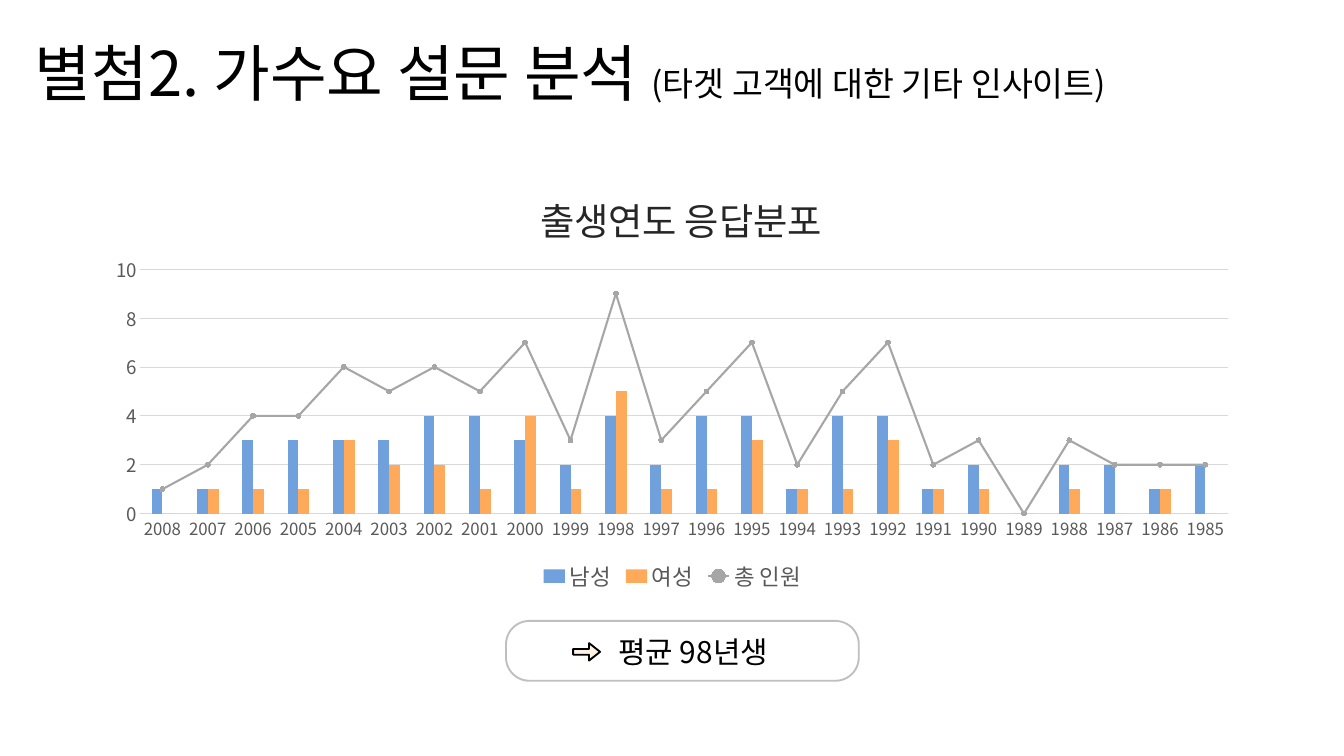
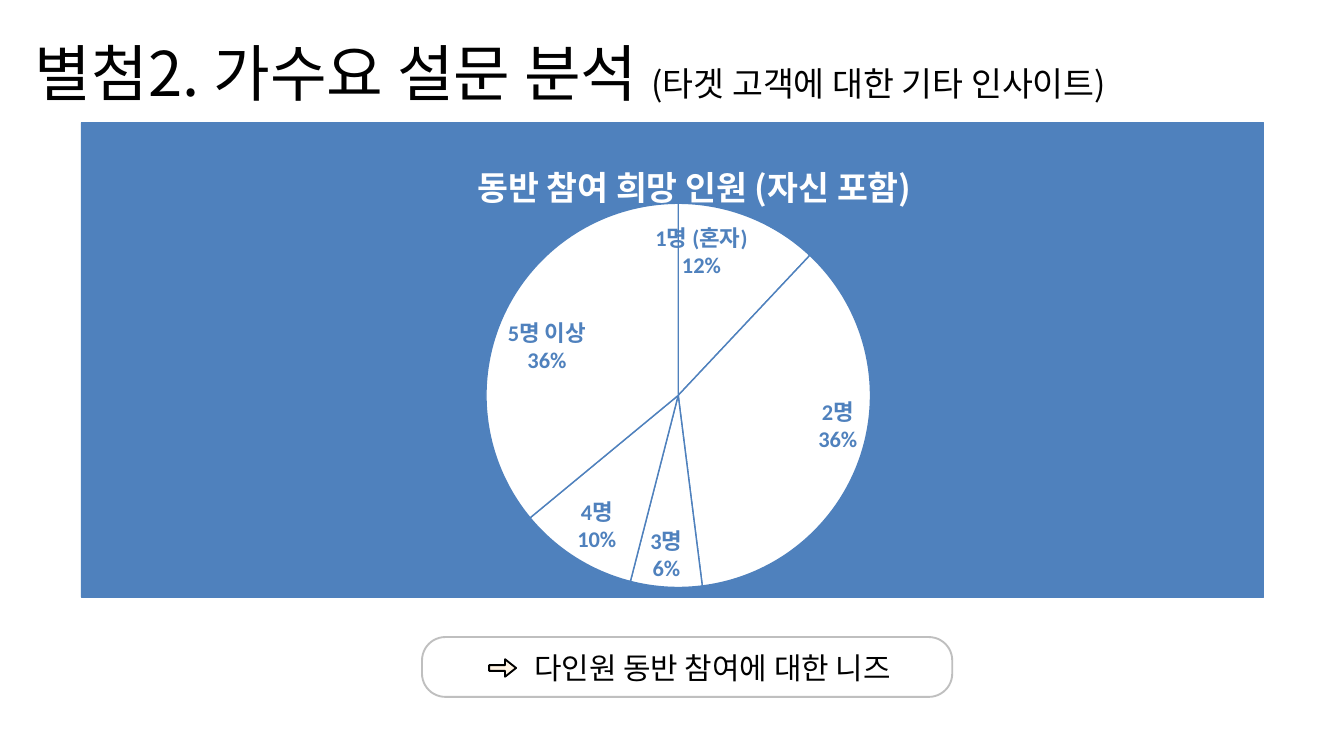
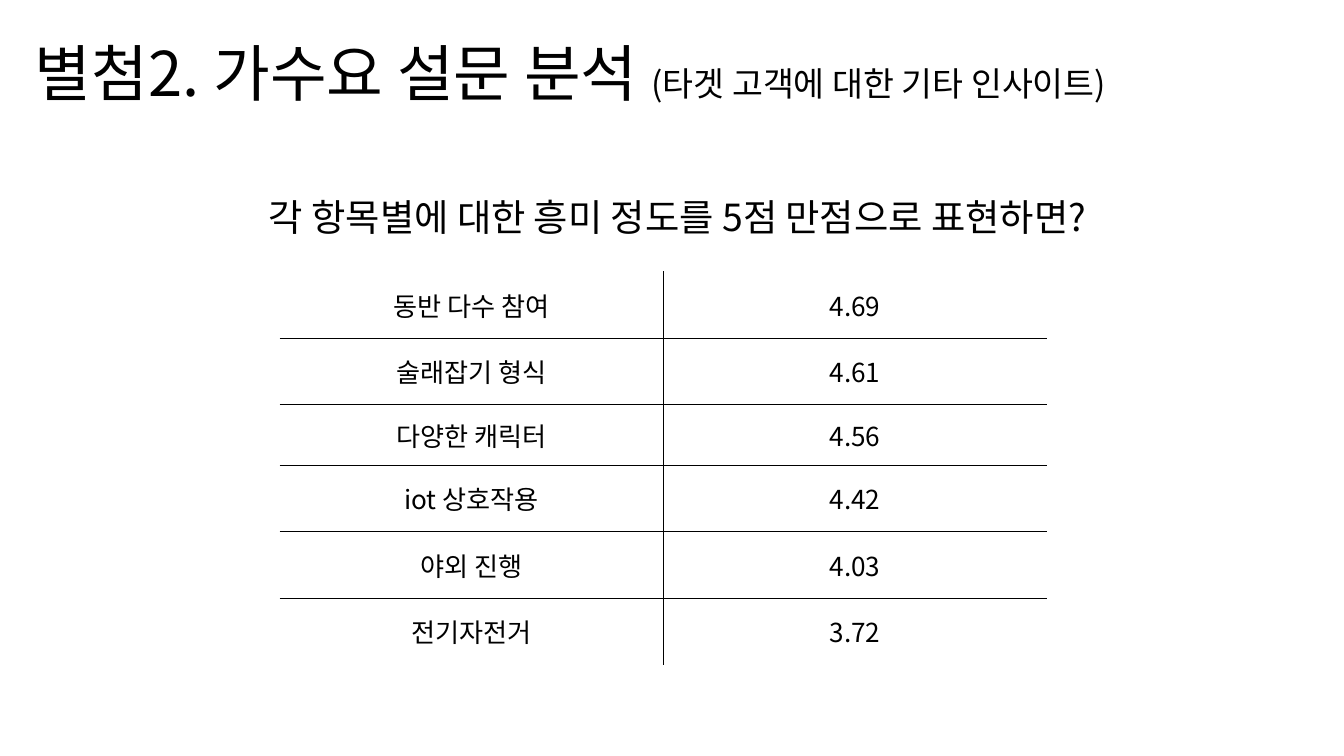
from pptx import Presentation
from pptx.chart.data import CategoryChartData
from pptx.dml.color import RGBColor
from pptx.enum.chart import (XL_CHART_TYPE, XL_LABEL_POSITION, XL_LEGEND_POSITION,
                             XL_MARKER_STYLE, XL_TICK_MARK)
from pptx.enum.shapes import MSO_SHAPE
from pptx.enum.text import MSO_ANCHOR, PP_ALIGN
from pptx.oxml import parse_xml
from pptx.oxml.ns import nsdecls, qn
from pptx.util import Inches, Pt

# Grid: 80 columns by 45 rows of square cells
SLIDE_WIDTH, SLIDE_HEIGHT = Inches(20), Inches(11.25)
COLUMN, ROW = SLIDE_WIDTH / 80, SLIDE_HEIGHT / 45

FONT = "Noto Sans CJK KR"
LABEL_FONT = "Calibri"
COLORS = {
    "black": "000000", "white": "FFFFFF", "heading": "262626", "axis": "595959",
    "grid": "D9D9D9", "frame": "BFBFBF", "arrow": "FFF4E4", "male": "71A1DC",
    "female": "FFA95B", "total": "A6A6A6", "blue": "4F81BD",
}
NO_GRID_STYLE = "{2D5ABB26-0587-4C30-8999-92F81FD0307C}"
HEADER_LINE = Pt(95.3)

BIRTH_YEARS = [str(year) for year in range(2008, 1984, -1)]
MALE = [1, 1, 3, 3, 3, 3, 4, 4, 3, 2, 4, 2, 4, 4, 1, 4, 4, 1, 2, 0, 2, 2, 1, 2]
FEMALE = [0, 1, 1, 1, 3, 2, 2, 1, 4, 1, 5, 1, 1, 3, 1, 1, 3, 1, 1, 0, 1, 0, 1, 0]
TOTAL = [male + female for male, female in zip(MALE, FEMALE)]
PARTY_SIZES = {"1명 (혼자)": 12, "2명": 36, "3명": 6, "4명": 10, "5명 이상": 36}
INTEREST_SCORES = [
    ("동반 다수 참여", "4.69"), ("술래잡기 형식", "4.61"), ("다양한 캐릭터", "4.56"),
    ("iot 상호작용", "4.42"), ("야외 진행", "4.03"), ("전기자전거", "3.72"),
]


def color(name):
    return RGBColor.from_string(COLORS[name])


def cells(left, top, width, height):
    return (round(left * COLUMN), round(top * ROW),
            round(width * COLUMN), round(height * ROW))


def set_font(font, size, color_name="black", name=FONT, bold=False):
    font.name, font.bold = name, bold
    font.color.rgb = color(color_name)
    if size:
        font.size = Pt(size)


def set_line(line, color_name, width):
    line.color.rgb = color(color_name)
    line.width = Pt(width)


# Text and callouts
def add_text(slide, box, parts, line_spacing=None, margins=True, wrap=True):
    """Add one paragraph; parts is a list of (text, size)."""
    frame = slide.shapes.add_textbox(*cells(*box)).text_frame
    frame.word_wrap = wrap
    if not margins:
        frame.margin_left = frame.margin_right = frame.margin_top = frame.margin_bottom = 0
    paragraph = frame.paragraphs[0]
    set_font(paragraph.font, parts[0][1] if len(parts) == 1 else None)
    if line_spacing:
        paragraph.line_spacing = line_spacing
    for text, size in parts:
        run = paragraph.add_run()
        run.text = text
        if len(parts) > 1:
            run.font.size = Pt(size)


def add_header(slide):
    add_text(slide, (2.08, 1.16, 76.24, 4.88),
             [("별첨2. 가수요 설문 분석 ", 66), ("(타겟 고객에 대한 기타 인사이트)", 36)],
             HEADER_LINE, margins=False)


def add_outlined(slide, kind, box, line_name, adjustments):
    shape = slide.shapes.add_shape(kind, *cells(*box))
    shape.shadow.inherit = False
    shape.fill.background()
    set_line(shape.line, line_name, 2)
    for index, value in enumerate(adjustments):
        shape.adjustments[index] = value
    return shape


def add_callout(slide, left, top, width, text, text_width):
    add_text(slide, (left + 6.28, top + 0.56, text_width, 2.56), [(text, 32)], wrap=False)
    arrow = add_outlined(slide, MSO_SHAPE.DOWN_ARROW, (left + 4.28, top + 1.04, 1.04, 1.6),
                         "black", (0.33, 0.63))
    arrow.rotation = 270
    arrow.fill.solid()
    arrow.fill.fore_color.rgb = color("arrow")
    add_outlined(slide, MSO_SHAPE.ROUNDED_RECTANGLE, (left, top, width, 3.56),
                 "frame", (0.39,))


# Charts
def set_layout(parent, index, left, top, width=None, height=None):
    """Place a chart part by shares of the chart's size."""
    for old in parent.findall(qn("c:layout")):
        parent.remove(old)
    values = {"x": left, "y": top, "w": width, "h": height}
    target = '<c:layoutTarget val="inner"/>' if width else ""
    modes = '<c:xMode val="edge"/><c:yMode val="edge"/>'
    sizes = "".join(f'<c:{key} val="{value}"/>' for key, value in values.items() if value)
    parent.insert(index, parse_xml(
        f'<c:layout {nsdecls("c")}><c:manualLayout>{target}{modes}{sizes}'
        '</c:manualLayout></c:layout>'))


def add_chart(slide, kind, box, categories, series, plot_layout):
    data = CategoryChartData()
    data.categories = categories
    for name, values in series.items():
        data.add_series(name, values)
    chart = slide.shapes.add_chart(kind, *cells(*box), data).chart
    set_font(chart.font, 10)
    chart.plots[0].vary_by_categories = False
    set_layout(chart.element.find(".//" + qn("c:plotArea")), 0, *plot_layout)
    return chart


def set_chart_title(chart, text, size, color_name, position, bold=False):
    frame = chart.chart_title.text_frame
    frame.text = text
    set_font(frame.paragraphs[0].font, size, color_name, bold=bold)
    set_layout(chart.element.find(".//" + qn("c:title")), 1, *position)


def move_last_series_to_line(chart):
    bars = chart.element.find(".//" + qn("c:barChart"))
    series = bars.findall(qn("c:ser"))[-1]
    for flag in series.findall(qn("c:invertIfNegative")):
        series.remove(flag)
    lines = parse_xml(f'<c:lineChart {nsdecls("c")}><c:grouping val="standard"/>'
                      '<c:varyColors val="0"/><c:marker val="1"/></c:lineChart>')
    lines.insert(2, series)
    for axis in bars.findall(qn("c:axId")):
        lines.append(parse_xml(f'<c:axId {nsdecls("c")} val="{axis.get("val")}"/>'))
    bars.addnext(lines)
    return chart.plots[1].series[0]


def style_axis(axis, size):
    axis.major_tick_mark = axis.minor_tick_mark = XL_TICK_MARK.NONE
    set_font(axis.tick_labels.font, size, "axis")


def add_birth_year_chart(slide):
    chart = add_chart(slide, XL_CHART_TYPE.COLUMN_CLUSTERED, (5.56, 9.52, 68.92, 26),
                      BIRTH_YEARS, {"남성": MALE, "여성": FEMALE, "총 인원": TOTAL},
                      (0.04, 0.25, 0.94, 0.56))
    set_chart_title(chart, "출생연도 응답분포", 40, "heading", (0.38, 0.05))
    total = move_last_series_to_line(chart)
    total.smooth = False
    set_line(total.format.line, "total", 2.25)
    total.marker.style, total.marker.size = XL_MARKER_STYLE.CIRCLE, 5
    total.marker.format.fill.solid()
    total.marker.format.fill.fore_color.rgb = color("total")
    set_line(total.marker.format.line, "total", 0.75)

    bars = chart.plots[0]
    bars.gap_width, bars.overlap = 219, 0
    for series, name in zip(bars.series, ("male", "female")):
        series.format.fill.solid()
        series.format.fill.fore_color.rgb = color(name)

    style_axis(chart.category_axis, 18)
    set_line(chart.category_axis.format.line, "grid", 0.75)
    value_axis = chart.value_axis
    style_axis(value_axis, 20)
    value_axis.minimum_scale, value_axis.maximum_scale, value_axis.major_unit = 0, 10, 2
    value_axis.format.line.fill.background()
    set_line(value_axis.major_gridlines.format.line, "grid", 0.75)

    chart.has_legend = True
    chart.legend.position = XL_LEGEND_POSITION.BOTTOM
    chart.legend.include_in_layout = False
    set_font(chart.legend.font, 24, "axis")


def add_party_size_chart(slide):
    chart = add_chart(slide, XL_CHART_TYPE.PIE, (4.8, 7.28, 70.44, 28.28),
                      list(PARTY_SIZES), {"Series 1": list(PARTY_SIZES.values())},
                      (0.34, 0.17, 0.33, 0.81))
    chart.has_legend = False
    set_chart_title(chart, "동반 참여 희망 인원 (자신 포함)", 36, "white", (0.33, 0.06), bold=True)
    fill = f'<a:solidFill><a:srgbClr val="{COLORS["blue"]}"/></a:solidFill>'
    chart.element.find(qn("c:chart")).addnext(parse_xml(
        f'<c:spPr {nsdecls("c", "a")}>{fill}<a:ln w="{Pt(0.75)}">{fill}</a:ln></c:spPr>'))

    series = chart.plots[0].series[0]
    for index in range(len(PARTY_SIZES)):
        slice_format = series.points[index].format
        slice_format.fill.solid()
        slice_format.fill.fore_color.rgb = color("white")
        set_line(slice_format.line, "blue", 1.5)

    labels = series.data_labels
    labels.show_category_name = labels.show_percentage = True
    labels.show_value = False
    labels.number_format, labels.number_format_is_linked = "0%", False
    labels.position = XL_LABEL_POSITION.INSIDE_END
    set_font(labels.font, 24, "blue", LABEL_FONT, bold=True)
    series_labels = chart.element.find(".//" + qn("c:ser")).find(qn("c:dLbls"))
    series_labels.find(qn("c:showBubbleSize")).addnext(
        parse_xml(f'<c:separator {nsdecls("c")}>\n</c:separator>'))


# Table
def set_borders(cell, visible_sides):
    for side in "LRTB":
        fill = (f'<a:solidFill><a:srgbClr val="{COLORS["black"]}"/></a:solidFill>'
                if side in visible_sides else "<a:noFill/>")
        cell._tc.get_or_add_tcPr().append(parse_xml(
            f'<a:ln{side} {nsdecls("a")} w="{Pt(1)}">{fill}</a:ln{side}>'))


def add_score_table(slide):
    last = len(INTEREST_SCORES) - 1
    graphic = slide.shapes.add_table(last + 1, 2, *cells(16.64, 16.16, 45.68, 23.4))
    table = graphic.table
    table.first_row = table.horz_banding = False
    table._tbl.tblPr.find(qn("a:tableStyleId")).text = NO_GRID_STYLE
    for row_index, texts in enumerate(INTEREST_SCORES):
        table.rows[row_index].height = round((3.6 if row_index == 2 else 3.96) * ROW)
        for column_index, text in enumerate(texts):
            cell = table.cell(row_index, column_index)
            sides = "RL"[column_index]
            sides += "T" if row_index > 0 else ""
            sides += "B" if row_index < last else ""
            set_borders(cell, sides)
            cell.fill.background()
            cell.vertical_anchor = MSO_ANCHOR.MIDDLE
            cell.margin_left = cell.margin_right = cell.margin_top = Inches(0.01)
            cell.margin_bottom = 0
            cell.text = text
            paragraph = cell.text_frame.paragraphs[0]
            paragraph.alignment = PP_ALIGN.CENTER
            set_font(paragraph.font, 28)


def main():
    presentation = Presentation()
    presentation.slide_width, presentation.slide_height = SLIDE_WIDTH, SLIDE_HEIGHT
    slides = [presentation.slides.add_slide(presentation.slide_layouts[6]) for _ in range(3)]
    for slide in slides:
        add_header(slide)
    birth_slide, party_slide, score_slide = slides

    add_birth_year_chart(birth_slide)
    add_callout(birth_slide, 30.12, 36.96, 21, "평균 98년생", 10.76)

    add_callout(party_slide, 25.12, 37.92, 31.56, "다인원 동반 참여에 대한 니즈", 23.12)
    add_party_size_chart(party_slide)

    add_score_table(score_slide)
    add_text(score_slide, (16, 8.92, 51.68, 4.6),
             [("각 항목별에 대한 흥미 정도를 5점 만점으로 표현하면?", 40)],
             HEADER_LINE, margins=False)

    presentation.save("out.pptx")


if __name__ == "__main__":
    main()
